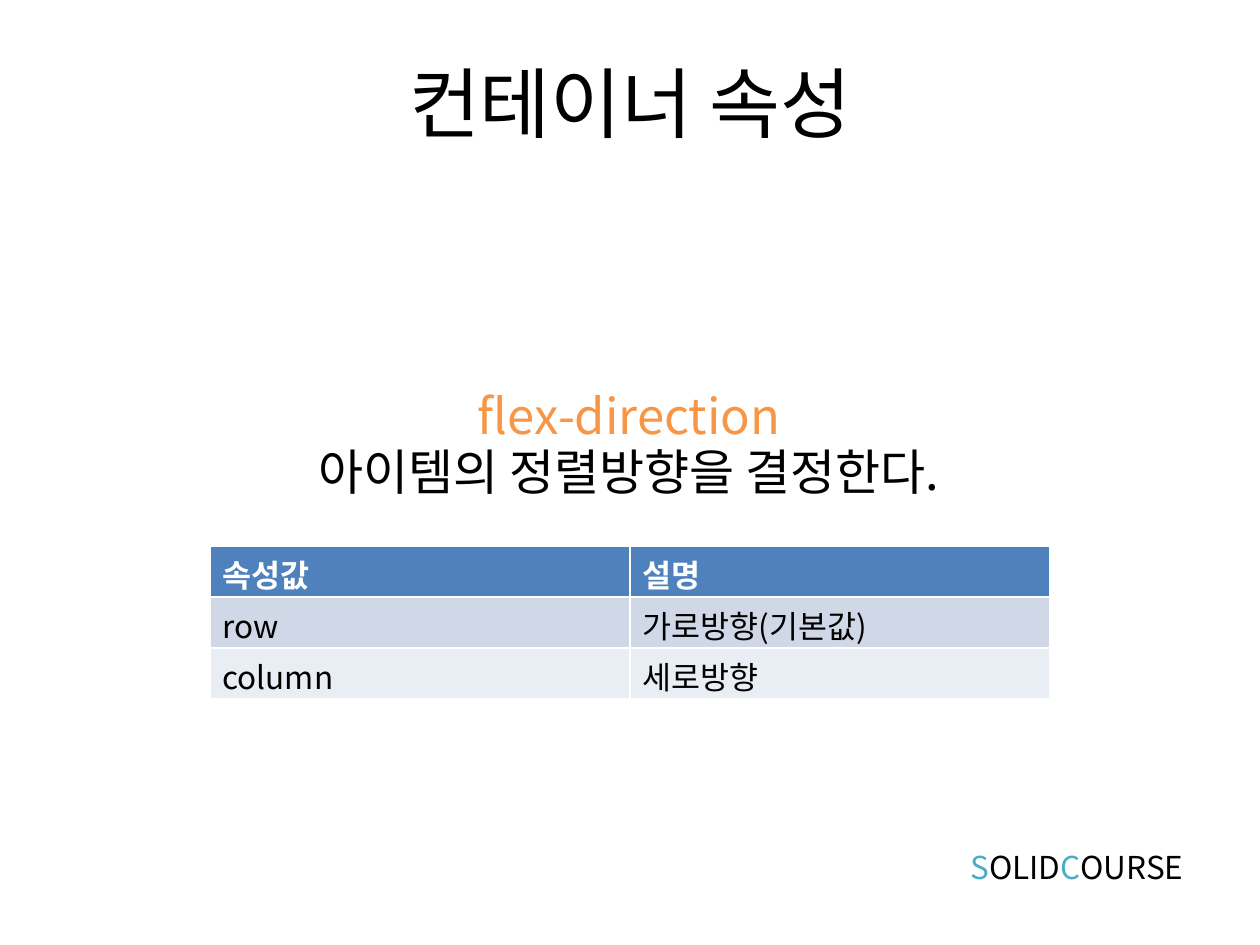
"""Build the slide on the flex-direction container property."""
import pptx
import pptx.util
import pptx.dml.color
import pptx.enum.text
import pptx.oxml.ns
import lxml.etree

PX = pptx.util.Inches(1) / 126
FONT = "Noto Sans CJK KR"
COLORS = {
    "black": "000000", "white": "FFFFFF", "orange": "F79646", "teal": "4BACC6",
    "header": "4F81BD", "band1": "D0D8E8", "band2": "E9EDF4",
}
CENTER = pptx.enum.text.PP_ALIGN.CENTER
LEFT = pptx.enum.text.PP_ALIGN.LEFT


def px(*values):
    return [round(v * PX) for v in values]


def write(p, runs, size, align, spacing=None, bold=False):
    fmt = {"alignment": align, "line_spacing": spacing, "space_before": pptx.util.Pt(0)}
    for name, value in fmt.items():
        setattr(p, name, value)
    for text, color in runs:
        r = p.add_run()
        r.text = text
        for name, value in {"size": pptx.util.Pt(size), "name": FONT, "bold": bold}.items():
            setattr(r.font, name, value)
        r.font.color.rgb = pptx.dml.color.RGBColor.from_string(COLORS[color])
        ea = lxml.etree.SubElement(r.font._element, pptx.oxml.ns.qn("a:ea"))
        ea.set("typeface", FONT)


prs = pptx.Presentation()
prs.slide_width, prs.slide_height = px(1260, 945)
s = prs.slides.add_slide(prs.slide_layouts[0])

title, body = s.placeholders
title.left, title.top, title.width, title.height = px(95, 0, 1071, 203)
title.text_frame.vertical_anchor = pptx.enum.text.MSO_ANCHOR.MIDDLE
write(title.text_frame.paragraphs[0], [("컨테이너 속성", "black")], 44, CENTER)

body.left, body.top, body.width, body.height = px(123, 387, 1012, 120)
tf = body.text_frame
tf.margin_top = tf.margin_bottom = 0
tf.vertical_anchor = pptx.enum.text.MSO_ANCHOR.TOP
lines = [("flex-direction", "orange"), ("아이템의 정렬방향을 결정한다.", "black")]
for i, line in enumerate(lines):
    p = tf.add_paragraph() if i else tf.paragraphs[0]
    write(p, [line], 28, CENTER, pptx.util.Pt(32.5))

rows = [("속성값", "설명"), ("row", "가로방향(기본값)"), ("column", "세로방향")]
styles = [("header", "white", True), ("band1", "black", False), ("band2", "black", False)]
table = s.shapes.add_table(3, 2, *px(210, 546, 840, 153)).table
for row, texts, (fill, color, bold) in zip(table.rows, rows, styles):
    row.height = px(51)[0]
    for cell, text in zip(row.cells, texts):
        cell.margin_top, cell.margin_bottom = px(14, 0)
        cell.fill.solid()
        cell.fill.fore_color.rgb = pptx.dml.color.RGBColor.from_string(COLORS[fill])
        write(cell.text_frame.paragraphs[0], [(text, color)], 18, LEFT, pptx.util.Pt(21), bold)

sp = s.shapes.add_textbox(*px(958, 839, 253, 50))
sp.text_frame.word_wrap = False
footer = [("S", "teal"), ("OLID", "black"), ("C", "teal"), ("OURSE", "black")]
write(sp.text_frame.paragraphs[0], footer, 18, LEFT, pptx.util.Pt(23))

prs.save("out.pptx")
